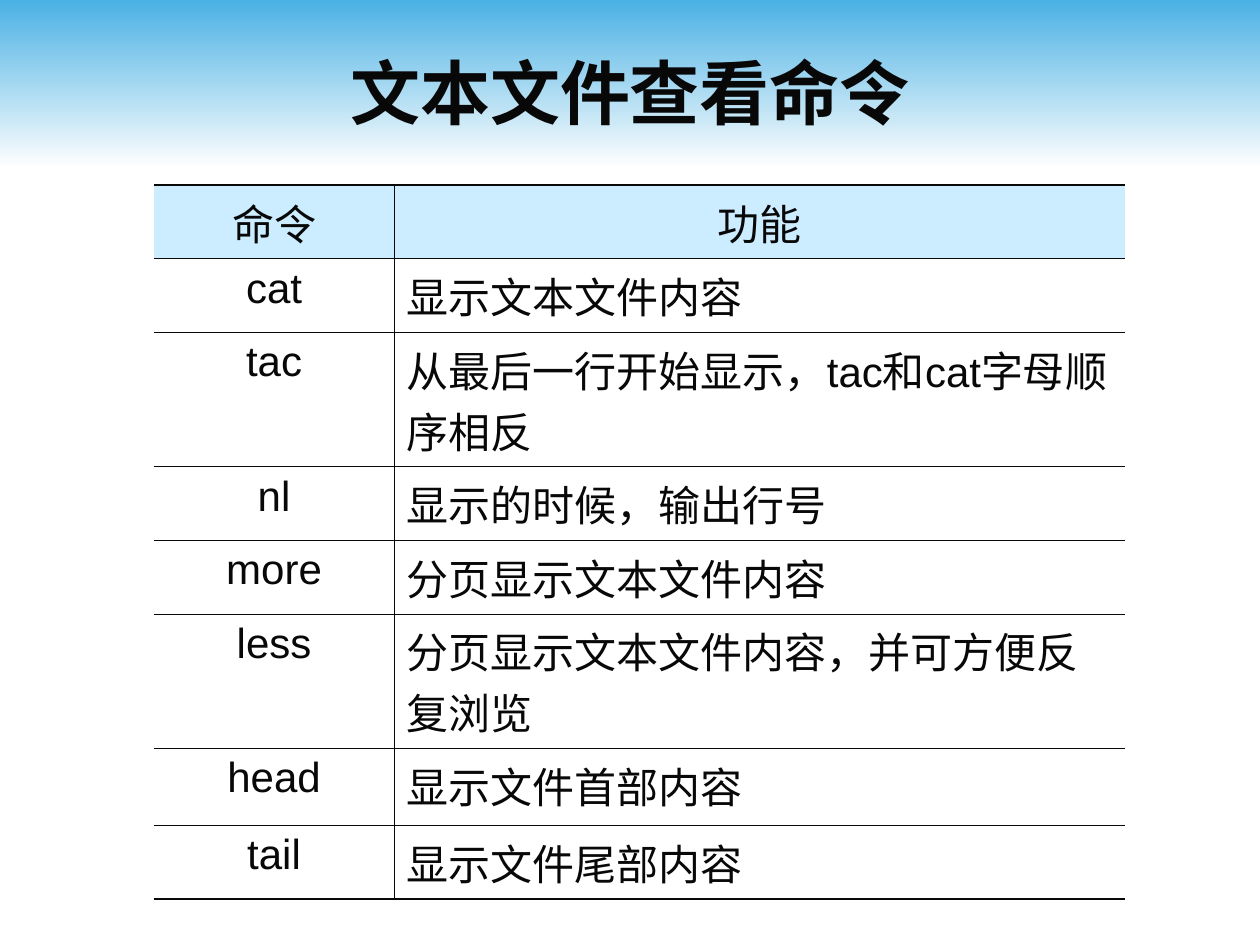
"""Build a slide with a table of commands for viewing text files."""
from dataclasses import dataclass

import pptx
import pptx.dml.color
import pptx.enum.shapes
import pptx.enum.text
import pptx.oxml
import pptx.oxml.ns
import pptx.util

Inches = pptx.util.Inches
Pt = pptx.util.Pt
ALIGN = pptx.enum.text.PP_ALIGN
ANCHOR = pptx.enum.text.MSO_ANCHOR


@dataclass(frozen=True)
class Theme:
    """Colours, font, type sizes and line widths."""
    ink: str = "080808"
    sky: str = "4AB1E4"
    pale: str = "FEFEFE"
    head: str = "CCECFF"
    font: str = "Arial"
    title: int = 40
    body: int = 24
    thin: float = 0.45
    thick: float = 1.08


THEME = Theme()
WIDTHS = (1.91, 5.8)
HEIGHTS = (0.55, 0.55, 0.9, 0.55, 0.51, 0.9, 0.61, 0.5)
ROWS = (
    ("命令", "功能"),
    ("cat", "显示文本文件内容"),
    ("tac", "从最后一行开始显示，tac和cat字母顺序相反"),
    ("nl", "显示的时候，输出行号"),
    ("more", "分页显示文本文件内容"),
    ("less", "分页显示文本文件内容，并可方便反复浏览"),
    ("head", "显示文件首部内容"),
    ("tail", "显示文件尾部内容"),
)


def rgb(code):
    """Turn a hex code into a colour."""
    return pptx.dml.color.RGBColor.from_string(code)


def assign(item, values):
    """Set each named attribute of an item."""
    for name, value in values.items():
        setattr(item, name, value)


def write(frame, text, size, align, bold=False):
    """Put one formatted paragraph in a text frame."""
    para = frame.paragraphs[0]
    para.alignment = align
    run = para.add_run()
    run.text = text
    assign(run.font, {"name": THEME.font, "size": Pt(size), "bold": bold})
    run.font.color.rgb = rgb(THEME.ink)


def add_band(slide):
    """Draw the gradient band behind the title."""
    kind = pptx.enum.shapes.MSO_SHAPE.RECTANGLE
    band = slide.shapes.add_shape(kind, 0, 0, Inches(10), Inches(1.33))
    band.shadow.inherit = False
    band.line.fill.background()
    band.fill.gradient()
    band.fill.gradient_angle = 270
    stops = band.fill.gradient_stops
    for stop, place, code in zip(stops, (0, 1), (THEME.sky, THEME.pale)):
        stop.position = place
        stop.color.rgb = rgb(code)
    slide.shapes.title.element.addprevious(band.element)


def add_title(slide, text):
    """Place and format the title."""
    title = slide.shapes.title
    assign(title, {"left": Inches(0.5), "top": Inches(0.25),
                   "width": Inches(9), "height": Inches(0.95)})
    title.text_frame.vertical_anchor = ANCHOR.MIDDLE
    write(title.text_frame, text, THEME.title, ALIGN.CENTER, True)


def add_edge(cell, side, width):
    """Add one cell border, or an empty one at zero width."""
    paint = "<a:noFill/>"
    if width:
        paint = f'<a:solidFill><a:srgbClr val="{THEME.ink}"/></a:solidFill>'
    space = pptx.oxml.ns.nsdecls("a")
    edge = f'<a:ln{side} {space} w="{int(Pt(width))}">{paint}</a:ln{side}>'
    cell._tc.get_or_add_tcPr().append(pptx.oxml.parse_xml(edge))


def style_cell(cell, row, col):
    """Give a cell its borders, fill and margins."""
    edges = {
        "L": THEME.thin if col else 0,
        "R": 0 if col else THEME.thin,
        "T": THEME.thin if row else THEME.thick,
        "B": THEME.thick if row == len(ROWS) - 1 else THEME.thin,
    }
    for side, width in edges.items():
        add_edge(cell, side, width)
    if row:
        cell.fill.background()
    else:
        cell.fill.solid()
        cell.fill.fore_color.rgb = rgb(THEME.head)
    assign(cell, {"margin_left": Inches(0.1), "margin_right": Inches(0.1),
                  "margin_top": Inches(0.05), "margin_bottom": Inches(0.05),
                  "vertical_anchor": ANCHOR.TOP})


def add_grid(slide):
    """Add the table of commands."""
    frame = slide.shapes.add_table(
        len(ROWS), len(WIDTHS), Inches(1.22), Inches(1.47),
        Inches(sum(WIDTHS)), Inches(sum(HEIGHTS)))
    grid = frame.table
    assign(grid, {"first_row": False, "horz_banding": False})
    for column, width in zip(grid.columns, WIDTHS):
        column.width = Inches(width)
    for row, (line, height) in enumerate(zip(ROWS, HEIGHTS)):
        grid.rows[row].height = Inches(height)
        for col, text in enumerate(line):
            cell = grid.cell(row, col)
            style_cell(cell, row, col)
            align = ALIGN.LEFT if row and col else ALIGN.CENTER
            write(cell.text_frame, text, THEME.body, align)


def main():
    """Build and save the slide."""
    deck = pptx.Presentation()
    assign(deck, {"slide_width": Inches(10), "slide_height": Inches(7.5)})
    slide = deck.slides.add_slide(deck.slide_layouts[5])
    add_band(slide)
    add_title(slide, "文本文件查看命令")
    add_grid(slide)
    deck.save("out.pptx")


if __name__ == "__main__":
    main()
